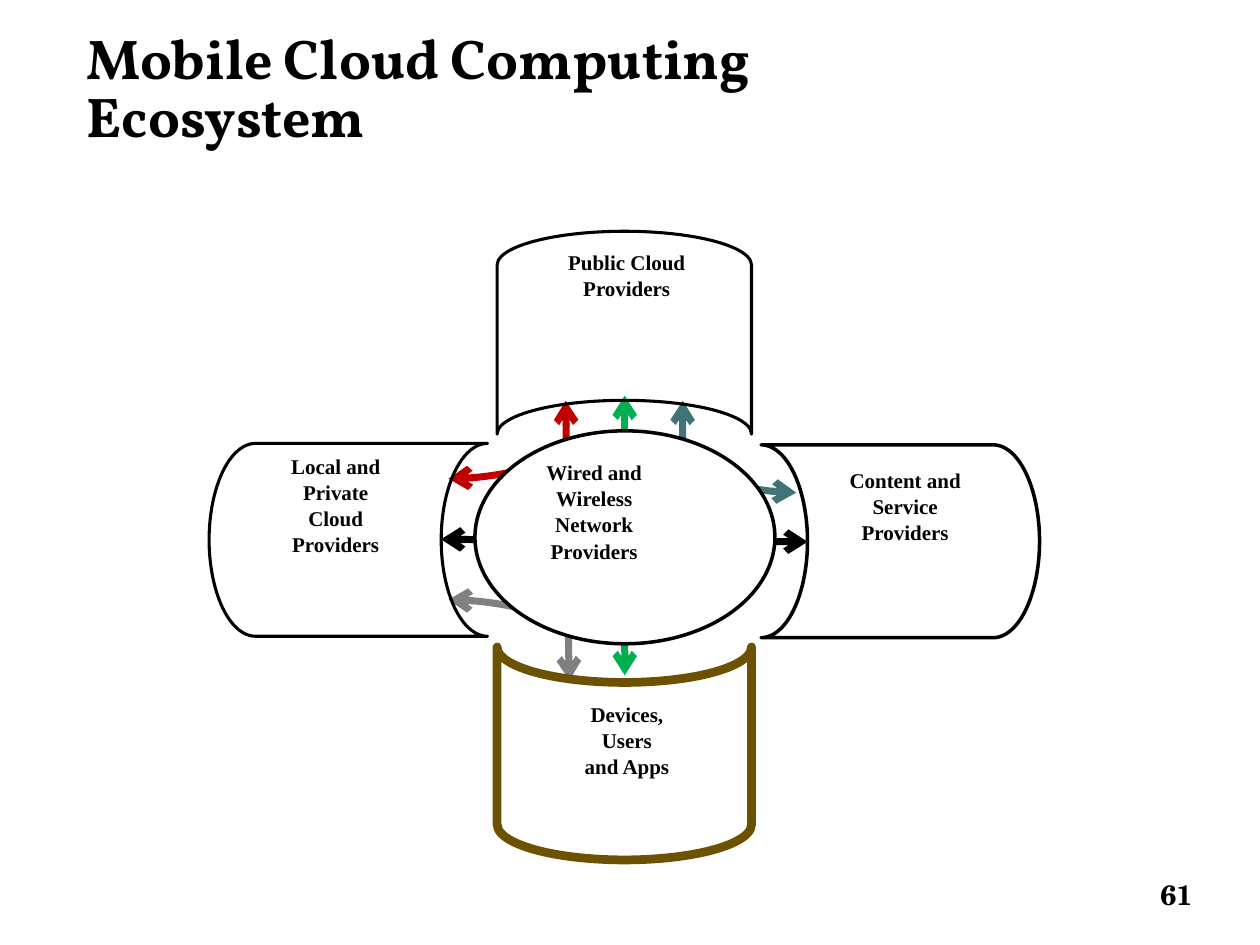
"""Builds the mobile cloud computing ecosystem slide."""
from lxml import etree
from pptx import Presentation
from pptx.dml.color import RGBColor
from pptx.enum.shapes import MSO_CONNECTOR, MSO_SHAPE
from pptx.enum.text import MSO_ANCHOR, PP_ALIGN
from pptx.oxml.ns import qn
from pptx.util import Pt

CURVE, STRAIGHT = MSO_CONNECTOR.CURVE, MSO_CONNECTOR.STRAIGHT
OVAL, DRUM = MSO_SHAPE.OVAL, MSO_SHAPE.FLOWCHART_STORED_DATA
TOP, MIDDLE, BOTTOM = MSO_ANCHOR.TOP, MSO_ANCHOR.MIDDLE, MSO_ANCHOR.BOTTOM
LEFT, CENTER, RIGHT = PP_ALIGN.LEFT, PP_ALIGN.CENTER, PP_ALIGN.RIGHT

COLORS = {
    "black": "000000", "white": "FFFFFF", "gray": "808080", "teal": "417478",
    "red": "C00000", "green": "00B050", "brown": "6C5200",
}
ARROWS = [
    ("gray", (256.3, 342.7, 325.4, 388.8), 99400),
    ("teal", (390.2, 229, 455, 281.5), -200),
    ("red", (256.3, 273.6, 323.3, 229), 100400),
    ("green", (357, 385.9, 357, 226.1), None),
    ("black", (252, 308.2, 461.5, 309.6), None),
]
DRUMS = [
    ((119.5, 253.4, 159.1, 110.2), 0, "black", 1.75,
     "Local and\vPrivate\nCloud\vProviders", (152.6, 254.9, 78.5, 62)),
    ((295.9, 357.8, 121.7, 145.4), 270, "brown", 5,
     "Devices,\vUsers\nand Apps", (315.4, 396.7, 85.7, 48)),
    ((298.8, 117.4, 115.9, 145.4), 90, "black", 1.75,
     "Public Cloud\vProviders", (294.5, 138.2, 127.4, 34)),
    ((434.9, 254.2, 159.1, 110.2), 180, "black", 2,
     "Content and\vService\nProviders", (462.2, 262.8, 110.2, 48)),
]


def paint(name):
    """Return the named colour."""
    return RGBColor.from_string(COLORS[name])


def write(shape, text, font, size, align, anchor, space=None):
    """Fill a shape with bold black text."""
    frame = shape.text_frame
    frame.word_wrap = True
    frame.vertical_anchor = anchor
    frame.text = text
    for para in frame.paragraphs:
        para.alignment = align
        para.line_spacing = space
        for run in para.runs:
            run.font.name, run.font.size, run.font.bold = font, Pt(size), True
            run.font.color.rgb = paint("black")


def add_title(slide, box):
    """Place the title."""
    title = slide.shapes.title
    title.left, title.top, title.width, title.height = map(Pt, box)
    write(title, "Mobile Cloud Computing\nEcosystem", "Vollkorn", 32, LEFT, MIDDLE, 0.86)


def add_label(slide, box, text):
    """Place a small centred label."""
    label = slide.shapes.add_textbox(*map(Pt, box))
    write(label, text, "Times New Roman", 12, CENTER, TOP, 1.04)
    label.text_frame.margin_left = label.text_frame.margin_right = 0


def add_body(slide, kind, box, color, width):
    """Place an unfilled outline shape and return it."""
    body = slide.shapes.add_shape(kind, *map(Pt, box))
    body.shadow.inherit = False
    body.fill.background()
    body.line.color.rgb = paint(color)
    body.line.width = Pt(width)
    return body


def add_drum(slide, box, turn, color, width, text, spot):
    """Place a provider drum with its label."""
    add_label(slide, spot, text)
    add_body(slide, DRUM, box, color, width).rotation = turn


def add_hub(slide, box):
    """Place the central network oval with its label."""
    hub = add_body(slide, OVAL, box, "black", 2)
    hub.fill.solid()
    hub.fill.fore_color.rgb = paint("white")
    left, top, width, height = box
    add_label(slide, (left + 14.5, top + 12.3, 107.3, 62),
              "Wired and\vWireless\nNetwork\vProviders")


def add_arrow(slide, color, ends, bend):
    """Draw a double-headed arrow, curved when a bend is given."""
    kind = STRAIGHT if bend is None else CURVE
    arrow = slide.shapes.add_connector(kind, *map(Pt, ends))
    arrow.line.color.rgb = paint(color)
    arrow.line.width = Pt(4)
    line = arrow.line._get_or_add_ln()
    for tag in ("a:headEnd", "a:tailEnd"):
        etree.SubElement(line, qn(tag), type="arrow")
    props = arrow._element.spPr
    etree.SubElement(props, qn("a:effectLst"))
    if bend is not None:
        guides = props.find(qn("a:prstGeom")).find(qn("a:avLst"))
        etree.SubElement(guides, qn("a:gd"), name="adj1", fmla=f"val {bend}")


def add_number(slide, box):
    """Place the slide number."""
    number = slide.shapes.add_textbox(*map(Pt, box))
    write(number, "61", "TeX Gyre Schola", 16, RIGHT, BOTTOM)


def main():
    """Build and save the slide."""
    deck = Presentation()
    deck.slide_width, deck.slide_height = Pt(720), Pt(540)
    slide = deck.slides.add_slide(deck.slide_layouts[5])
    add_number(slide, (538.6, 496.8, 149.8, 27.4))
    add_title(slide, (42.5, 9.4, 583.9, 85))
    for arrow in ARROWS:
        add_arrow(slide, *arrow)
    add_hub(slide, (271.4, 246.2, 171.4, 121.7))
    for drum in DRUMS:
        add_drum(slide, *drum)
    deck.save("out.pptx")


if __name__ == "__main__":
    main()
